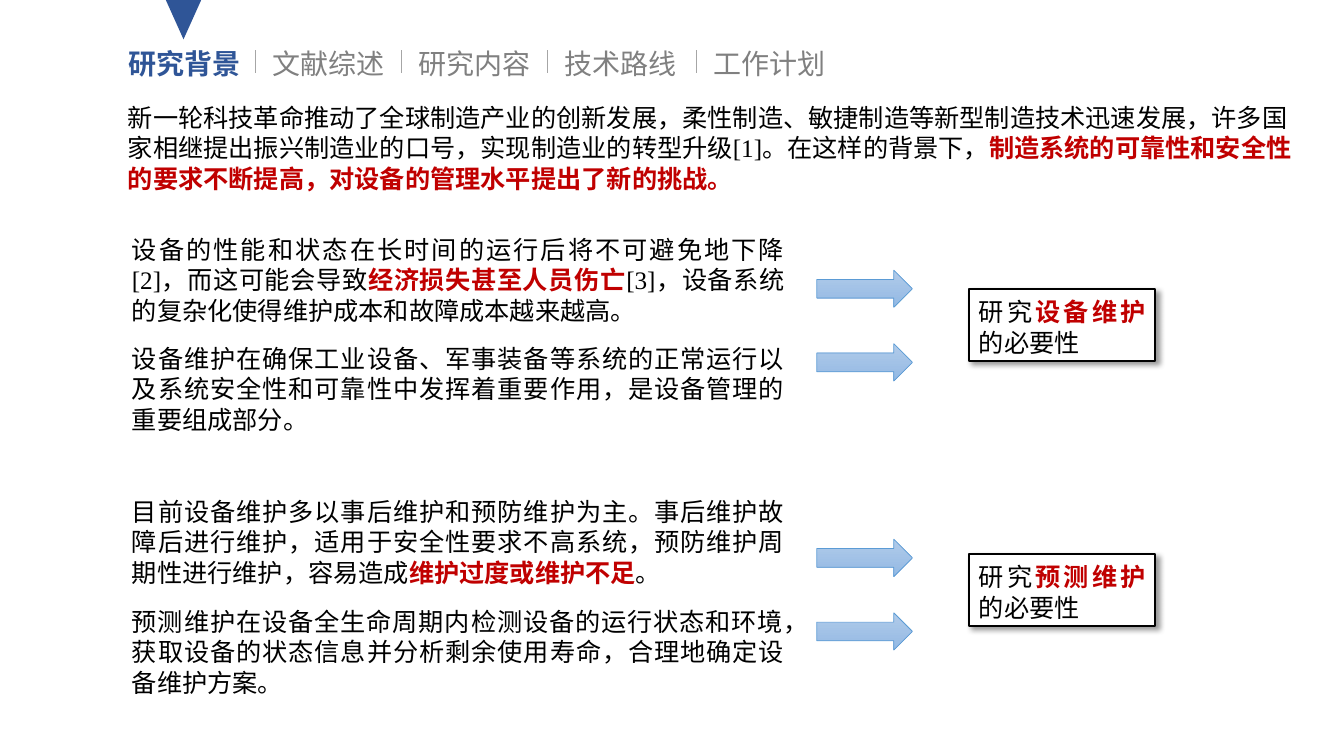
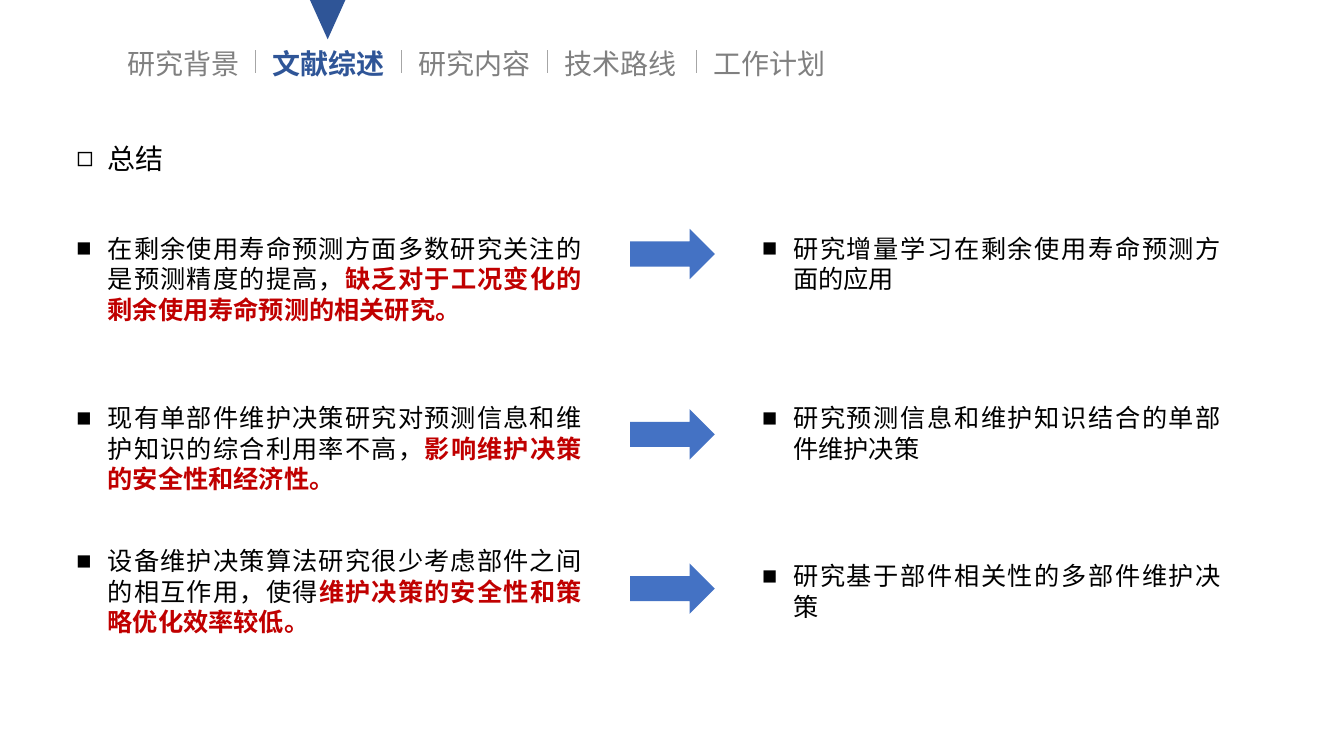
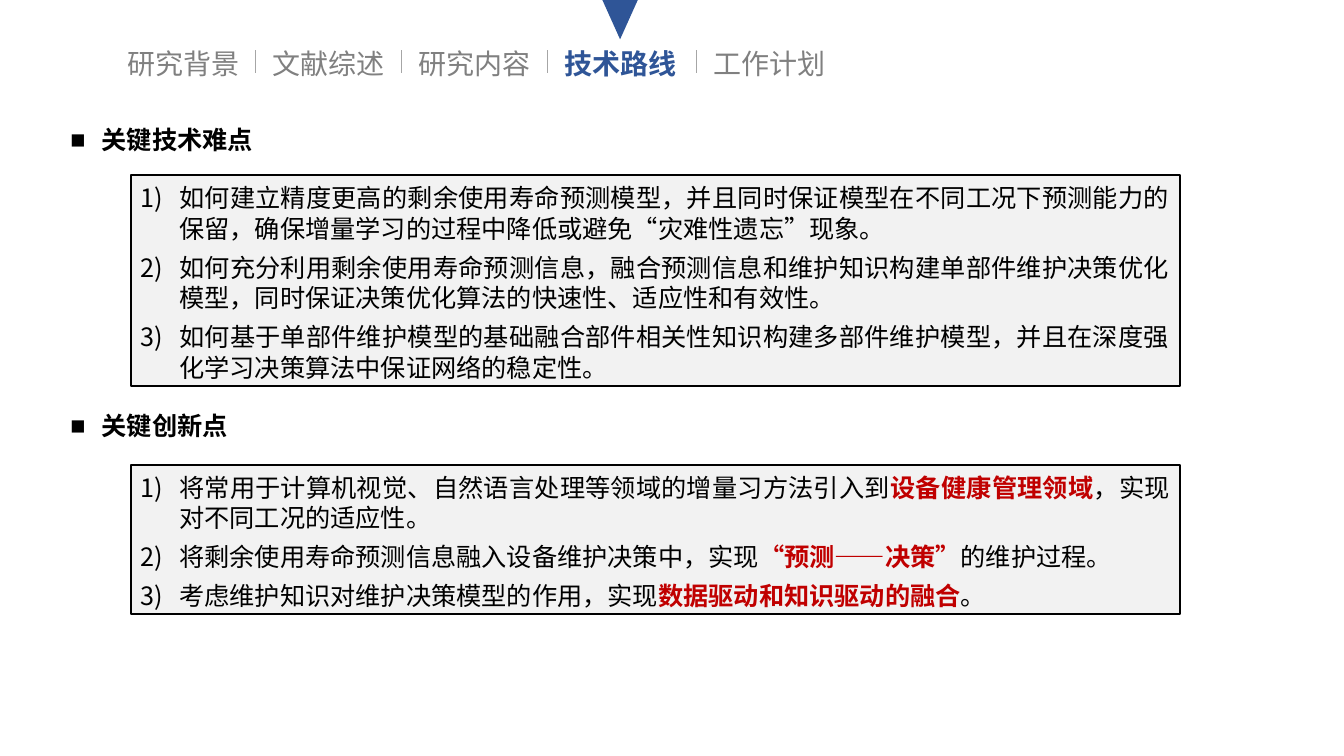
from lxml.etree import SubElement
from pptx import Presentation
from pptx.dml.color import RGBColor
from pptx.enum.shapes import MSO_CONNECTOR as Link, MSO_SHAPE as Kind
from pptx.enum.text import MSO_ANCHOR as Anchor, MSO_AUTO_SIZE as Auto, PP_ALIGN as Align
from pptx.oxml.ns import qn
from pptx.util import Inches, Pt

BLACK = RGBColor(0x00, 0x00, 0x00)
WHITE = RGBColor(0xFF, 0xFF, 0xFF)
PALE = RGBColor(0xF2, 0xF2, 0xF2)
GRAY = RGBColor(0x80, 0x80, 0x80)
RULE = RGBColor(0xA6, 0xA6, 0xA6)
NAVY = RGBColor(0x2F, 0x55, 0x97)
BLUE = RGBColor(0x44, 0x72, 0xC4)
EDGE = RGBColor(0x5B, 0x9B, 0xD5)
LIGHT = RGBColor(0xB1, 0xCB, 0xE9)
DEEP = RGBColor(0x93, 0xB9, 0xE4)
RED = RGBColor(0xC0, 0x00, 0x00)

SANS = "Noto Sans CJK SC"
SERIF = "Times New Roman"
FRAME = {
    "word_wrap": True,
    "auto_size": Auto.SHAPE_TO_FIT_TEXT,
    "vertical_anchor": Anchor.TOP,
    "margin_left": Inches(0.1),
    "margin_right": Inches(0.1),
    "margin_top": Inches(0.07),
    "margin_bottom": Inches(0.03),
}


def write(box, paras, size=18, name=SERIF, color=BLACK, bold=False,
          align=Align.JUSTIFY, mark=None, hang=0.31):
    frame = box.text_frame
    for key, val in FRAME.items():
        setattr(frame, key, val)
    for row, parts in enumerate(paras):
        para = frame.add_paragraph() if row else frame.paragraphs[0]
        if mark:
            props = para._p.get_or_add_pPr()
            props.set("marL", str(Inches(hang)))
            props.set("indent", str(-Inches(hang)))
            face = SANS if mark == "1)" else "Arial"
            SubElement(props, qn("a:buFont"), typeface=face)
            if mark == "1)":
                SubElement(props, qn("a:buAutoNum"), type="arabicParenR")
            else:
                SubElement(props, qn("a:buChar"), char=mark)
        form = {"alignment": align, "line_spacing": Pt(size * 1.21),
                "space_before": Pt(6 if row else 0)}
        for key, val in form.items():
            setattr(para, key, val)
        for spot, part in enumerate(parts):
            strong = spot % 2 == 1
            run = para.add_run()
            run.text = part
            run.font.size = Pt(size)
            run.font.name = name
            run.font.bold = bold or strong
            run.font.color.rgb = RED if strong else color
            SubElement(run._r.get_or_add_rPr(), qn("a:ea"), typeface=SANS)


def draw(slide, kind, at, fills, edge=None, width=1.5):
    shape = slide.shapes.add_shape(kind, *map(Inches, at))
    shape.shadow.inherit = False
    if len(fills) > 1:
        shape.fill.gradient()
        shape.fill.gradient_angle = 270
        for stop, tone in zip(shape.fill.gradient_stops, fills):
            stop.color.rgb = tone
    else:
        shape.fill.solid()
        shape.fill.fore_color.rgb = fills[0]
    if edge is None:
        shape.line.fill.background()
    else:
        shape.line.color.rgb = edge
        shape.line.width = Pt(width)
    return shape


deck = Presentation()
deck.slide_width = Inches(13.33)
deck.slide_height = Inches(7.5)

TABS = [("研究背景", 1.17), ("文献综述", 2.6), ("研究内容", 4.05),
        ("技术路线", 5.5), ("工作计划", 6.98)]
pages = []
for now in (0, 1, 3):
    slide = deck.slides.add_slide(deck.slide_layouts[5])
    pages.append(slide)
    for spot, (label, left) in enumerate(TABS):
        at = [Inches(n) for n in (left, 0.39, 1.37, 0.44)]
        if spot == now:
            tab = slide.shapes.title
            tab.left, tab.top, tab.width, tab.height = at
            flag = draw(slide, Kind.ISOSCELES_TRIANGLE, (left + 0.47, -0.01, 0.36, 0.4), [NAVY])
            flag.rotation = 180
        else:
            tab = slide.shapes.add_textbox(*at)
        write(tab, [[label]], 20, SANS, NAVY if spot == now else GRAY,
              spot == now, Align.LEFT)
        if spot:
            x = Inches(left - 0.07)
            bar = slide.shapes.add_connector(Link.STRAIGHT, x, Inches(0.5), x, Inches(0.72))
            bar.line.color.rgb = RULE
            bar.line.width = Pt(0.5)
            SubElement(bar._element.spPr, qn("a:effectLst"))

need, review, route = pages

intro = need.shapes.add_textbox(Inches(1.17), Inches(0.94), Inches(11.82), Inches(1.01))
write(intro, [[
    "新一轮科技革命推动了全球制造产业的创新发展，柔性制造、敏捷制造等新型制造技术迅速发展，许多国家相继提出振兴制造业的口号，实现制造业的转型升级[1]。在这样的背景下，",
    "制造系统的可靠性和安全性的要求不断提高，对设备的管理水平提出了新的挑战。",
]], align=Align.LEFT)

CLAIMS = [
    (2.25, 2.68, ["设备的性能和状态在长时间的运行后将不可避免地下降[2]，而这可能会导致",
                  "经济损失甚至人员伤亡",
                  "[3]，设备系统的复杂化使得维护成本和故障成本越来越高。"]),
    (3.33, 3.41, ["设备维护在确保工业设备、军事装备等系统的正常运行以及系统安全性和可靠性中发挥着重要作用，是设备管理的重要组成部分。"]),
    (4.85, 5.35, ["目前设备维护多以事后维护和预防维护为主。事后维护故障后进行维护，适用于安全性要求不高系统，预防维护周期性进行维护，容易造成",
                  "维护过度或维护不足", "。"]),
    (5.94, 6.08, ["预测维护在设备全生命周期内检测设备的运行状态和环境，获取设备的状态信息并分析剩余使用寿命，合理地确定设备维护方案。"]),
]
for top, mid, parts in CLAIMS:
    claim = need.shapes.add_textbox(Inches(1.21), Inches(top), Inches(6.67), Inches(1.01))
    write(claim, [parts])
    draw(need, Kind.RIGHT_ARROW, (8.1, mid, 0.95, 0.37), [LIGHT, DEEP], EDGE, 0.5)

for top, topic in ((2.87, "设备维护"), (5.5, "预测维护")):
    goal = draw(need, Kind.RECTANGLE, (9.61, top, 1.85, 0.71), [WHITE], BLACK)
    write(goal, [["研究", topic, "的必要性"]], name="Calibri")
    glow = goal._element.spPr.find(qn("a:effectLst"))
    cast = SubElement(glow, qn("a:outerShdw"), blurRad=str(Pt(4)), dist=str(Pt(3)),
                      dir="2700000", algn="tl", rotWithShape="0")
    tint = SubElement(cast, qn("a:srgbClr"), val=str(BLACK))
    SubElement(tint, qn("a:alpha"), val="40000")

head = review.shapes.add_textbox(Inches(0.66), Inches(1.33), Inches(1.2), Inches(0.44))
write(head, [["总结"]], 20, SANS, align=Align.LEFT, mark="◻")

GAPS = [
    (2.24, 2.27, 2.24, ["在剩余使用寿命预测方面多数研究关注的是预测精度的提高，",
                        "缺乏对于工况变化的剩余使用寿命预测的相关研究。"],
     "研究增量学习在剩余使用寿命预测方面的应用"),
    (3.92, 4.06, 3.92, ["现有单部件维护决策研究对预测信息和维护知识的综合利用率不高，",
                        "影响维护决策的安全性和经济性。"],
     "研究预测信息和维护知识结合的单部件维护决策"),
    (5.34, 5.59, 5.49, ["设备维护决策算法研究很少考虑部件之间的相互作用，使得",
                        "维护决策的安全性和策略优化效率较低。"],
     "研究基于部件相关性的多部件维护决策"),
]
for top, mid, side, parts, plan in GAPS:
    gap = review.shapes.add_textbox(Inches(0.66), Inches(top), Inches(5.21), Inches(1.01))
    write(gap, [parts], mark="■")
    draw(review, Kind.RIGHT_ARROW, (6.25, mid, 0.84, 0.5), [BLUE])
    aim = review.shapes.add_textbox(Inches(7.46), Inches(side), Inches(4.75), Inches(0.71))
    write(aim, [[plan]], mark="■")

POINTS = [
    ("关键技术难点", 1.16, 1.74, 2.09, [
        ["如何建立精度更高的剩余使用寿命预测模型，并且同时保证模型在不同工况下预测能力的保留，确保增量学习的过程中降低或避免“灾难性遗忘”现象。"],
        ["如何充分利用剩余使用寿命预测信息，融合预测信息和维护知识构建单部件维护决策优化模型，同时保证决策优化算法的快速性、适应性和有效性。"],
        ["如何基于单部件维护模型的基础融合部件相关性知识构建多部件维护模型，并且在深度强化学习决策算法中保证网络的稳定性。"],
    ]),
    ("关键创新点", 4, 4.61, 1.48, [
        ["将常用于计算机视觉、自然语言处理等领域的增量习方法引入到", "设备健康管理领域",
         "，实现对不同工况的适应性。"],
        ["将剩余使用寿命预测信息融入设备维护决策中，实现", "“预测——决策”", "的维护过程。"],
        ["考虑维护知识对维护决策模型的作用，实现", "数据驱动和知识驱动的融合", "。"],
    ]),
]
for label, top, low, tall, paras in POINTS:
    head = route.shapes.add_textbox(Inches(0.6), Inches(top), Inches(6.67), Inches(0.4))
    write(head, [[label]], name=SANS, bold=True, align=Align.LEFT, mark="■")
    panel = draw(route, Kind.RECTANGLE, (1.3, low, 10.4, tall), [PALE], BLACK)
    write(panel, paras, mark="1)", hang=0.38)

deck.save("out.pptx")
